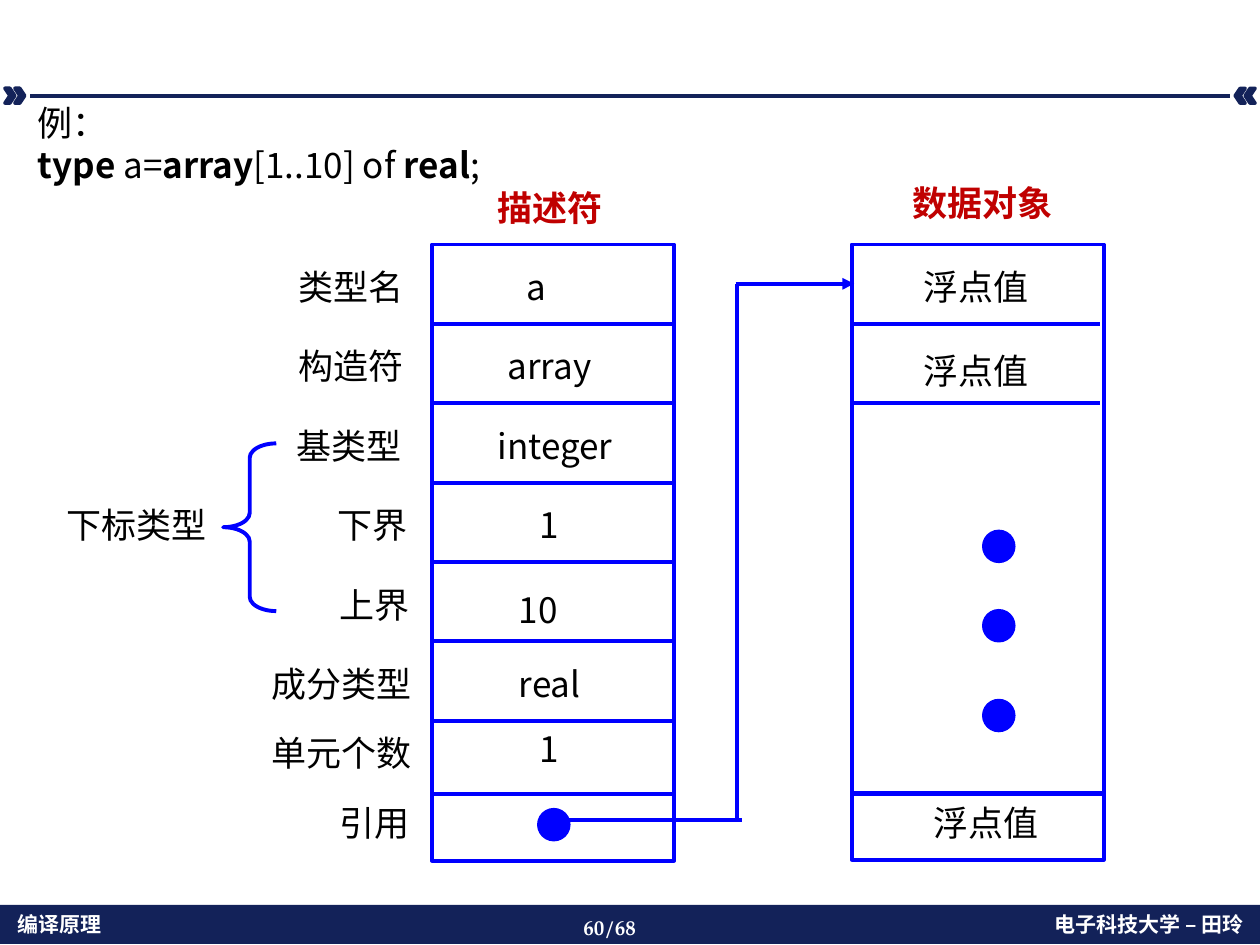
from dataclasses import dataclass

from lxml.etree import SubElement
from pptx import Presentation
from pptx.dml.color import RGBColor
from pptx.enum.shapes import MSO_CONNECTOR, MSO_SHAPE as SHAPE
from pptx.enum.text import MSO_AUTO_SIZE, PP_ALIGN as ALIGN
from pptx.oxml.ns import qn
from pptx.util import Cm, Pt


@dataclass(frozen=True)
class Theme:
    navy: str = "132259"
    blue: str = "0000FF"
    red: str = "C00000"
    black: str = "000000"
    white: str = "FFFFFF"
    font: str = "Noto Sans CJK SC"
    number_font: str = "TeX Gyre Pagella"
    body: int = 20
    footer: int = 12
    rule: float = 2
    stroke: float = 2.25
    thick: float = 3
    hairline: float = 0.75


class Painter:
    """Draws on one slide in one style; all lengths are in centimetres."""

    def __init__(self, slide, theme):
        self.slide, self.theme = slide, theme

    def shape(self, kind, x, y, w, h, fill=None, line=None, width=1):
        sp = self.slide.shapes.add_shape(kind, Cm(x), Cm(y), Cm(w), Cm(h))
        sp.shadow.inherit = False
        if fill:
            sp.fill.solid()
            sp.fill.fore_color.rgb = RGBColor.from_string(fill)
        else:
            sp.fill.background()
        if line:
            sp.line.color.rgb = RGBColor.from_string(line)
            sp.line.width = Pt(width)
        else:
            sp.line.fill.background()
        return sp

    def line(self, x1, y1, x2, y2, color=None, width=None, arrow=False):
        cn = self.slide.shapes.add_connector(
            MSO_CONNECTOR.STRAIGHT, Cm(x1), Cm(y1), Cm(x2), Cm(y2))
        cn.line.color.rgb = RGBColor.from_string(color or self.theme.blue)
        cn.line.width = Pt(width or self.theme.stroke)
        if arrow:
            SubElement(cn.line._get_or_add_ln(), qn("a:tailEnd"), type="triangle")
        SubElement(cn._element.spPr, qn("a:effectLst"))

    def dot(self, x, y):
        t = self.theme
        self.shape(SHAPE.OVAL, x, y, 0.65, 0.65, t.blue, t.blue, t.hairline)

    def text(self, x, y, w, h, lines, size=None, color=None, font=None,
             align=ALIGN.LEFT, wrap=True):
        """Write lines, each a list of (text, bold) runs."""
        t = self.theme
        size, font = size or t.body, font or t.font
        tf = self.slide.shapes.add_textbox(Cm(x), Cm(y), Cm(w), Cm(h)).text_frame
        tf.word_wrap = wrap
        tf.auto_size = MSO_AUTO_SIZE.NONE
        for i, runs in enumerate(lines):
            p = tf.add_paragraph() if i else tf.paragraphs[0]
            p.alignment = align
            p.line_spacing = Pt(1.2 * size)
            for content, bold in runs:
                r = p.add_run()
                r.text = content
                r.font.size, r.font.bold, r.font.name = Pt(size), bold, font
                r.font.color.rgb = RGBColor.from_string(color or t.black)
                SubElement(r._r.get_or_add_rPr(), qn("a:ea"), typeface=font)

    def label(self, x, y, content, w=None, bold=False, color=None):
        """Write one unwrapped line; the default width fits Chinese text."""
        w = w or 0.5 + 0.71 * len(content)
        self.text(x, y, w, 1.1, [[(content, bold)]], color=color, wrap=False)

    def box(self, x, y, w, h):
        self.shape(SHAPE.RECTANGLE, x, y, w, h,
                   line=self.theme.blue, width=self.theme.stroke)


def draw_frame(pt):
    t = pt.theme
    pt.shape(SHAPE.RECTANGLE, 0, 18.24, 25.4, 0.79, t.navy)
    for x, flipped in ((0.1, False), (0.3, False), (25.1, True), (24.9, True)):
        sp = pt.shape(SHAPE.CHEVRON, x, 1.78, 0.2, 0.3, t.navy, t.navy, t.rule)
        if flipped:
            sp.rotation = 180
    pt.line(0.61, 1.93, 24.79, 1.93, t.navy, t.rule)
    for x, y, w, content, font, align in (
            (0.1, 18.26, 7.47, "编译原理", t.font, ALIGN.LEFT),
            (17.73, 18.26, 7.59, "电子科技大学 – 田玲", t.font, ALIGN.RIGHT),
            (11.51, 18.31, 2.39, "60/68", t.number_font, ALIGN.LEFT)):
        pt.text(x, y, w, 0.76, [[(content, True)]], t.footer, t.white, font, align)


TOP, ROW, LAST_ROW = 4.93, 1.6, 16.0
DESC_X, DESC_W = 8.71, 4.88
DATA_X, DATA_W = 17.17, 5.08

# label, label x, value, value x, value width, value shift down
FIELDS = [
    ("类型名", 5.77, "a", 10.36, 0.91, 0),
    ("构造符", 5.77, "array", 9.98, 2.29, 0),
    ("基类型", 5.72, "integer", 9.78, 2.97, 0),
    ("下界", 6.55, "1", 10.62, 0.94, 0),
    ("上界", 6.6, "10", 10.21, 1.35, 0.1),
    ("成分类型", 5.23, "real", 10.21, 1.75, 0),
    ("单元个数", 5.23, "1", 10.62, 0.94, -0.08),
    ("引用", 6.6, None, 0, 0, 0),
]


def draw_descriptor(pt):
    pt.box(DESC_X, TOP, DESC_W, 12.42)
    for y in [TOP + ROW * i for i in range(1, 7)] + [LAST_ROW]:
        pt.line(DESC_X, y, DESC_X + DESC_W, y)
    pt.label(9.78, 3.63, "描述符", bold=True, color=pt.theme.red)
    text_tops = [TOP + 0.3 + ROW * i for i in range(6)] + [14.63, 16.03]
    for y, (name, x, value, value_x, value_w, shift) in zip(text_tops, FIELDS):
        pt.label(x, y, name)
        if value:
            pt.label(value_x, y + shift, value, value_w)
    pt.label(1.09, text_tops[3], "下标类型")
    brace = pt.shape(SHAPE.LEFT_BRACE, 4.5, 8.94, 1.07, 3.38,
                     line=pt.theme.blue, width=pt.theme.stroke)
    brace.adjustments[0] = 0.27
    pt.dot(10.84, 16.3)


def draw_data_object(pt):
    pt.box(DATA_X, TOP, DATA_W, 12.4)
    for i in (1, 2):
        pt.line(DATA_X, TOP + ROW * i, 22.17, TOP + ROW * i)
    pt.line(DATA_X, LAST_ROW, DATA_X + DATA_W, LAST_ROW, width=pt.theme.thick)
    for y in (10.69, 12.29, 14.1):
        pt.dot(19.81, y)
    pt.label(18.14, 3.53, "数据对象", bold=True, color=pt.theme.red)
    for x, y in ((18.36, 5.23), (18.36, 6.93), (18.57, 16.03)):
        pt.label(x, y, "浮点值")


def draw_reference(pt):
    pt.line(11.35, 16.53, 14.96, 16.53)
    pt.line(14.86, 16.51, 14.86, 5.72)
    pt.line(14.83, 5.72, 17.22, 5.72, arrow=True)


def main():
    prs = Presentation()
    prs.slide_width, prs.slide_height = Cm(25.4), Cm(19.05)
    pt = Painter(prs.slides.add_slide(prs.slide_layouts[6]), Theme())
    draw_frame(pt)
    pt.text(0.51, 1.93, 10.8, 2.41, [
        [("例：", False)],
        [("type", True), (" a=", False), ("array", True),
         ("[1..10] of ", False), ("real", True), (";", False)]])
    draw_descriptor(pt)
    draw_data_object(pt)
    draw_reference(pt)
    prs.save("out.pptx")


if __name__ == "__main__":
    main()
